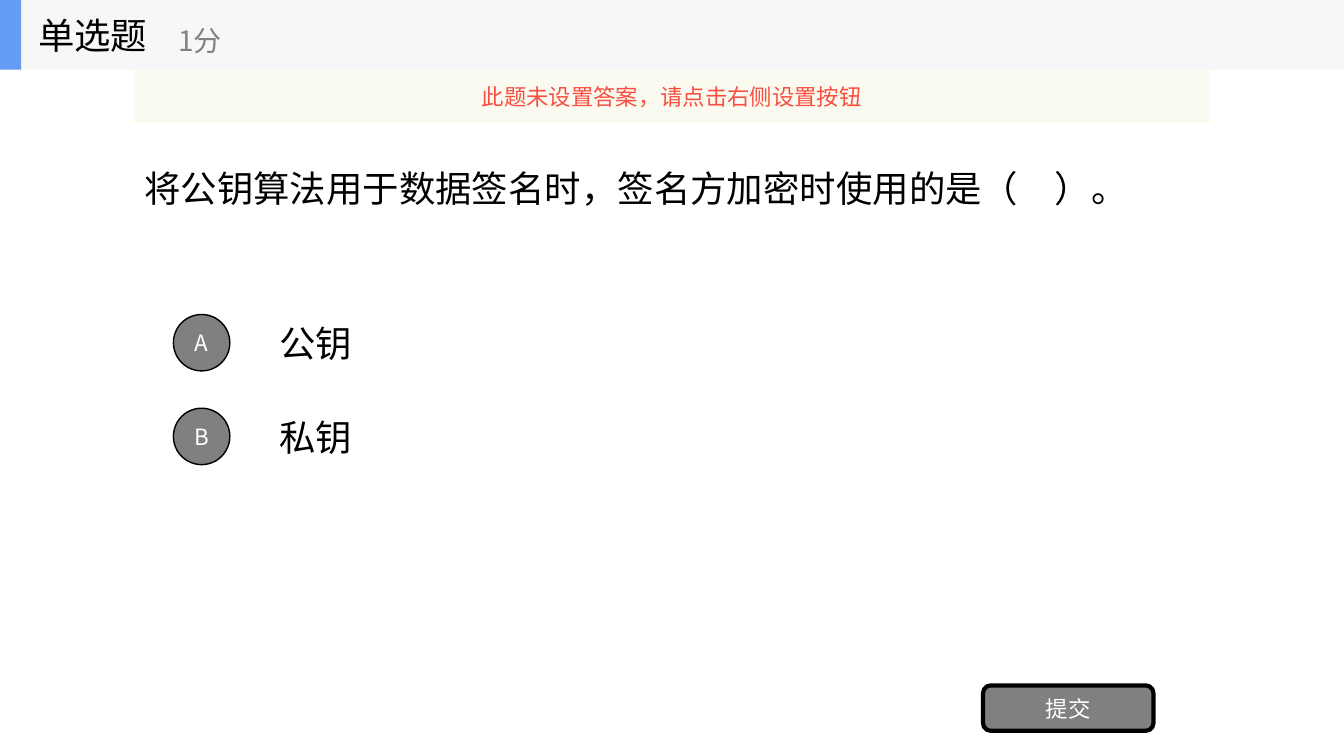
"""Builds a single-choice quiz slide about signing with public-key algorithms."""
from pptx import Presentation
from pptx.dml.color import RGBColor
from pptx.enum.shapes import MSO_SHAPE
from pptx.enum.text import MSO_ANCHOR, MSO_AUTO_SIZE, PP_ALIGN
from pptx.oxml.ns import qn
from pptx.util import Inches, Pt
from lxml import etree

BLACK = RGBColor(0x00, 0x00, 0x00)
WHITE = RGBColor(0xFF, 0xFF, 0xFF)
GREY = RGBColor(0x80, 0x80, 0x80)
HEADER_GREY = RGBColor(0xF6, 0xF7, 0xF8)
ACCENT_BLUE = RGBColor(0x63, 0x9E, 0xF4)
NOTICE_CREAM = RGBColor(0xFB, 0xFA, 0xEF)
NOTICE_RED = RGBColor(0xF8, 0x4F, 0x41)
FONT = "Noto Sans CJK SC"
RECTANGLE, ROUNDED, OVAL = MSO_SHAPE.RECTANGLE, MSO_SHAPE.ROUNDED_RECTANGLE, MSO_SHAPE.OVAL
LEFT, CENTER = PP_ALIGN.LEFT, PP_ALIGN.CENTER
MIDDLE, NO_AUTOFIT = MSO_ANCHOR.MIDDLE, MSO_AUTO_SIZE.NONE


def write(holder, text, size, color, align=LEFT):
    frame = holder.text_frame
    frame.text = text
    frame.word_wrap = True
    frame.auto_size = NO_AUTOFIT
    frame.vertical_anchor = MIDDLE
    paragraph = frame.paragraphs[0]
    paragraph.alignment = align
    paragraph.space_before = Pt(0)
    if holder.is_placeholder:
        properties = paragraph._p.get_or_add_pPr()
        properties.set("marL", "0")
        properties.set("indent", "0")
        etree.SubElement(properties, qn("a:buNone"))
    font = paragraph.font
    font.size = Pt(size)
    font.color.rgb = color
    font.name = FONT
    defaults = paragraph._p.pPr.find(qn("a:defRPr"))
    etree.SubElement(defaults, qn("a:ea"), typeface=FONT)


def add_block(shapes, kind, box, fill, line_width=0):
    block = shapes.add_shape(kind, *map(Inches, box))
    block.shadow.inherit = False
    block.fill.solid()
    block.fill.fore_color.rgb = fill
    if line_width:
        block.line.color.rgb = BLACK
        block.line.width = Pt(line_width)
    else:
        block.line.fill.background()
    return block


deck = Presentation()
deck.slide_width, deck.slide_height = Inches(13.33), Inches(7.5)
slide = deck.slides.add_slide(deck.slide_layouts[3])
question, *answers = slide.placeholders

question.left, question.top = Inches(1.33), Inches(0.69)
question.width, question.height = Inches(10.67), Inches(2.34)
write(question, "将公钥算法用于数据签名时，签名方加密时使用的是（　）。", 26, BLACK)

for row, (answer, letter, wording) in enumerate(zip(answers, "AB", ("公钥", "私钥"))):
    top = 3.05 + 0.93 * row
    answer.left, answer.top = Inches(2.67), Inches(top)
    answer.width, answer.height = Inches(9.33), Inches(0.7)
    write(answer, wording, 26, BLACK)
    badge = add_block(slide.shapes, OVAL, (1.72, top + 0.07, 0.56, 0.56), GREY, 1)
    write(badge, letter, 16, WHITE, CENTER)

submit = add_block(slide.shapes, ROUNDED, (9.75, 6.8, 1.69, 0.45), GREY, 3)
write(submit, "提交", 16, WHITE, CENTER)

header = slide.shapes.add_group_shape().shapes
add_block(header, RECTANGLE, (0, 0, 13.33, 0.69), HEADER_GREY)
add_block(header, RECTANGLE, (0, 0, 0.21, 0.69), ACCENT_BLUE)
for label, box, size, color in (
    ("单选题", (0.28, 0, 2.08, 0.69), 26, BLACK),
    ("1分", (1.67, 0.12, 2.5, 0.56), 20, GREY),
):
    write(header.add_textbox(*map(Inches, box)), label, size, color)

notice = add_block(slide.shapes, RECTANGLE, (1.33, 0.69, 10.67, 0.53), NOTICE_CREAM)
notice_color = notice._element.spPr.find(qn("a:solidFill"))[0]
etree.SubElement(notice_color, qn("a:alpha"), val="90000")
write(notice, "此题未设置答案，请点击右侧设置按钮", 16, NOTICE_RED, CENTER)

deck.save("out.pptx")
